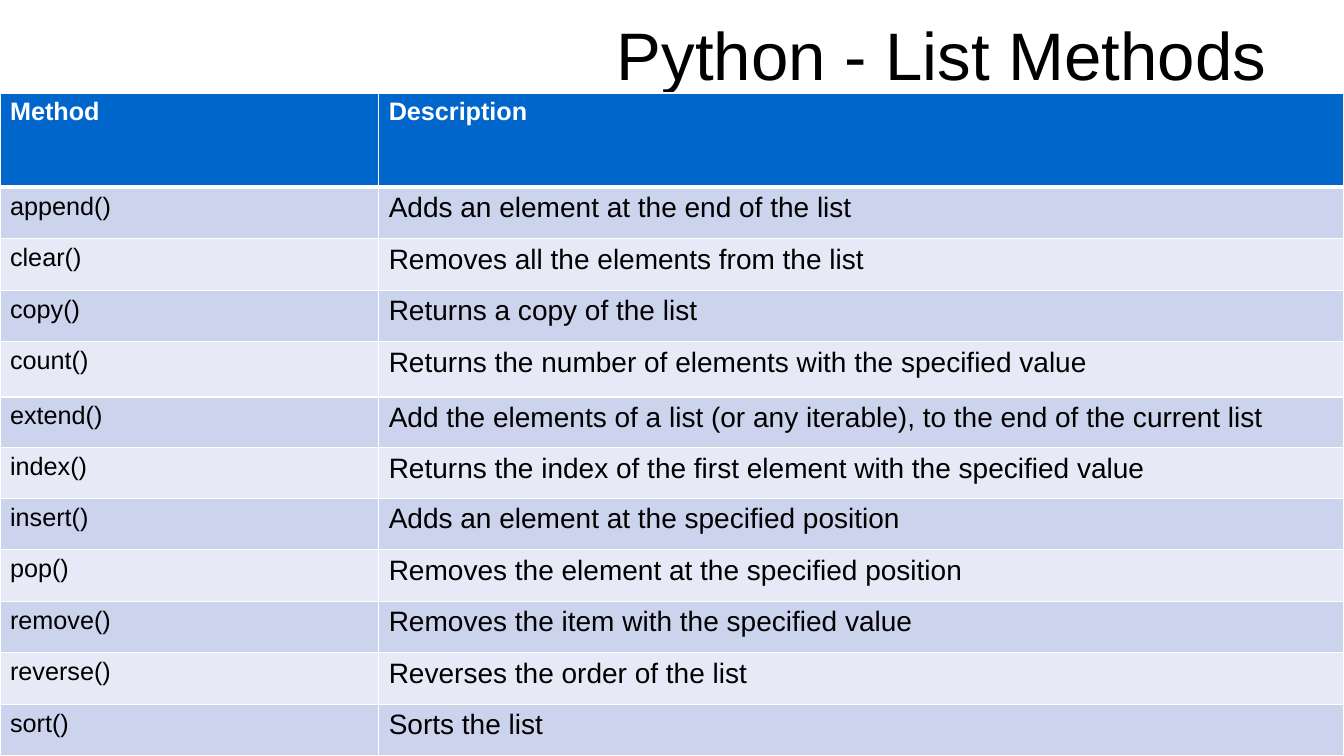
"""Build a slide with a table of Python list methods."""
from pptx import Presentation
from pptx.dml.color import RGBColor
from pptx.enum import text as t
from pptx.oxml import parse_xml
from pptx.oxml.ns import nsdecls
from pptx.util import Pt

TITLE = "Python - List Methods"
HEAD = ("Method", "Description")
ROWS = [
    ("append()", "Adds an element at the end of the list"),
    ("clear()", "Removes all the elements from the list"),
    ("copy()", "Returns a copy of the list"),
    ("count()", "Returns the number of elements with the specified value"),
    ("extend()", "Add the elements of a list (or any iterable), to the end of the current list"),
    ("index()", "Returns the index of the first element with the specified value"),
    ("insert()", "Adds an element at the specified position"),
    ("pop()", "Removes the element at the specified position"),
    ("remove()", "Removes the item with the specified value"),
    ("reverse()", "Reverses the order of the list"),
    ("sort()", "Sorts the list"),
]
WIDTHS = (270.5, 689.5)
HEIGHTS = [67.4] + [36.8] * 3 + [39.4] + [36.2] * 2 + [36.8] * 5
BANDS = ("E7EAF6", "CCD3EC")
BLUE, WHITE, BLACK = "0066CC", "FFFFFF", "000000"


def color(code):
    return RGBColor.from_string(code)


def write(frame, words, size=18, fill=BLACK, bold=False, align=t.PP_ALIGN.LEFT):
    para = frame.paragraphs[0]
    para.alignment = align
    run = para.add_run()
    run.text = words
    font = run.font
    font.name, font.size, font.bold = "Arial", Pt(size), bold
    font.color.rgb = color(fill)


def edge(cell, top, low):
    props = cell._tc.get_or_add_tcPr()
    for spot, (side, wide) in enumerate(zip("LRTB", (1, 1, top, low))):
        props.insert(spot, parse_xml(
            f'<a:ln{side} {nsdecls("a")} w="{Pt(wide)}"><a:solidFill>'
            f'<a:srgbClr val="{WHITE}"/></a:solidFill></a:ln{side}>'))


def main():
    deck = Presentation()
    deck.slide_width, deck.slide_height = Pt(960), Pt(540)
    slide = deck.slides.add_slide(deck.slide_layouts[5])

    title = slide.shapes.title
    title.left, title.top, title.width, title.height = Pt(48), Pt(15), Pt(864), Pt(46)
    frame = title.text_frame
    frame.auto_size = t.MSO_AUTO_SIZE.NONE
    frame.vertical_anchor = t.MSO_ANCHOR.MIDDLE
    write(frame, TITLE, size=48, align=t.PP_ALIGN.RIGHT)

    table = slide.shapes.add_table(
        len(HEIGHTS), len(WIDTHS), Pt(0), Pt(66.4), Pt(sum(WIDTHS)), Pt(sum(HEIGHTS))).table
    for col, wide in zip(table.columns, WIDTHS):
        col.width = Pt(wide)
    for r, (high, row) in enumerate(zip(HEIGHTS, [HEAD] + ROWS)):
        table.rows[r].height = Pt(high)
        for c, words in enumerate(row):
            cell = table.cell(r, c)
            cell.fill.solid()
            cell.fill.fore_color.rgb = color(BANDS[r % 2] if r else BLUE)
            edge(cell, top=3 if r == 1 else 1, low=1 if r else 3)
            if r:
                write(cell.text_frame, words, size=(18, 20)[c])
            else:
                write(cell.text_frame, words, fill=WHITE, bold=True)

    deck.save("out.pptx")


if __name__ == "__main__":
    main()
